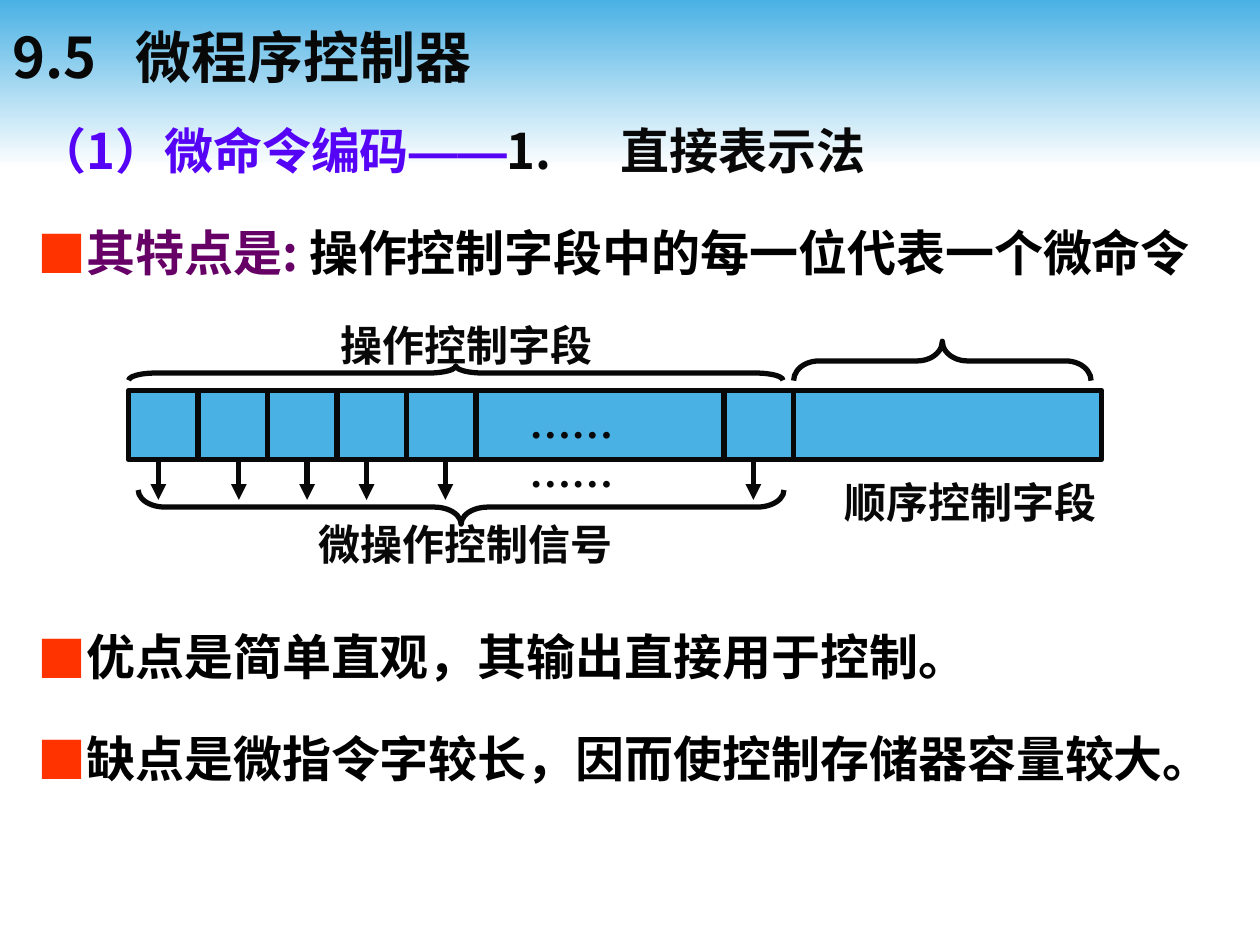
from dataclasses import dataclass

from lxml.etree import SubElement
from pptx import Presentation
from pptx.dml.color import RGBColor
from pptx.enum.shapes import MSO_CONNECTOR, MSO_SHAPE
from pptx.enum.text import MSO_ANCHOR
from pptx.oxml.ns import qn
from pptx.util import Pt


@dataclass(frozen=True)
class Theme:
    sky: str = "4AB1E4"
    white: str = "FFFFFF"
    ink: str = "080808"
    black: str = "000000"
    violet: str = "5504F6"
    plum: str = "660066"
    bullet: str = "FF3300"
    sans: str = "Noto Sans CJK JP"
    dash: str = "Arial"
    serif: str = "Times New Roman"
    title: int = 32
    body: int = 28
    label: int = 24
    stroke: int = 3


THEME = Theme()


def rgb(code):
    return RGBColor.from_string(code)


def set_face(font, properties, face):
    """Use one face for both Latin and East Asian characters."""
    font.name = face
    SubElement(properties, qn("a:ea")).set("typeface", face)


def style_paragraph(paragraph, size, color, face=THEME.sans):
    font = paragraph.font
    font.size, font.bold = Pt(size), True
    font.color.rgb = rgb(color)
    set_face(font, paragraph._p.pPr.find(qn("a:defRPr")), face)


def add_tab(paragraph, position):
    tabs = SubElement(paragraph._p.get_or_add_pPr(), qn("a:tabLst"))
    SubElement(tabs, qn("a:tab"), pos=str(Pt(position)), algn="l")


def add_bullet(paragraph, indent):
    properties = paragraph._p.get_or_add_pPr()
    properties.set("marL", str(Pt(indent)))
    properties.set("indent", str(-Pt(indent)))
    color = SubElement(properties, qn("a:buClr"))
    SubElement(color, qn("a:srgbClr"), val=THEME.bullet)
    SubElement(properties, qn("a:buFont"), typeface=THEME.sans)
    SubElement(properties, qn("a:buChar"), char="■")


def add_frame(slide, x, y, w, h):
    frame = slide.shapes.add_textbox(Pt(x), Pt(y), Pt(w), Pt(h)).text_frame
    frame.word_wrap = True
    return frame


def add_label(slide, text, x, y, w, face=THEME.sans):
    paragraph = add_frame(slide, x, y, w, 36).paragraphs[0]
    paragraph.add_run().text = text
    style_paragraph(paragraph, THEME.label, THEME.ink, face)


def add_line(slide, x, top, bottom, arrow=False):
    line = slide.shapes.add_connector(
        MSO_CONNECTOR.STRAIGHT, Pt(x), Pt(top), Pt(x), Pt(bottom))
    line.line.color.rgb = rgb(THEME.ink)
    line.line.width = Pt(THEME.stroke)
    if arrow:
        SubElement(line.line._get_or_add_ln(), qn("a:tailEnd"), type="triangle")
    SubElement(line._element.spPr, qn("a:effectLst"))


def add_brace(slide, preset, x, y, w, h, curve):
    """Lay a brace on its side so that it fills the box x, y, w, h."""
    brace = slide.shapes.add_shape(
        preset, Pt(x + (w - h) / 2), Pt(y + (h - w) / 2), Pt(h), Pt(w))
    brace.rotation = 270
    brace.adjustments[0] = curve / h
    brace.shadow.inherit = False
    brace.fill.background()
    brace.line.color.rgb = rgb(THEME.ink)
    brace.line.width = Pt(THEME.stroke)


def build_header(slide, x, y, w, h):
    # Gradient band
    band = slide.shapes.add_shape(MSO_SHAPE.RECTANGLE, Pt(x), Pt(y), Pt(w), Pt(h))
    band.shadow.inherit = False
    band.line.fill.background()
    band.fill.gradient()
    band.fill.gradient_angle = 270
    for stop, color, position in zip(
            band.fill.gradient_stops, (THEME.sky, THEME.white), (0, 1)):
        stop.color.rgb = rgb(color)
        stop.position = position

    # Title
    frame = add_frame(slide, x, y + 3.6, w, 57)
    frame.vertical_anchor = MSO_ANCHOR.MIDDLE
    title = frame.paragraphs[0]
    title.add_run().text = "9.5\t微程序控制器"
    add_tab(title, 70.5)
    style_paragraph(title, THEME.title, THEME.ink)


def build_body(slide, x, y, w, h):
    frame = add_frame(slide, x, y, w, h)

    # Heading
    heading = frame.paragraphs[0]
    add_tab(heading, 333)
    style_paragraph(heading, THEME.body, THEME.violet)
    heading.add_run().text = "（1）微命令编码"
    dash = heading.add_run()
    dash.text = "——"
    set_face(dash.font, dash._r.get_or_add_rPr(), THEME.dash)
    method = heading.add_run()
    method.text = "1.\t直接表示法"
    method.font.color.rgb = rgb(THEME.ink)

    # Bulleted points; the second leaves room for the diagram
    points = [
        (17.5, "其特点是: ", "操作控制字段中的每一位代表一个微命令"),
        (191, "", "优点是简单直观，其输出直接用于控制。"),
        (17.5, "", "缺点是微指令字较长，因而使控制存储器容量较大。"),
    ]
    for space, lead, text in points:
        point = frame.add_paragraph()
        point.line_spacing = 1.2
        point.space_before = Pt(space)
        add_bullet(point, 27)
        style_paragraph(point, THEME.body, THEME.black)
        if lead:
            lead_run = point.add_run()
            lead_run.text = lead
            lead_run.font.color.rgb = rgb(THEME.plum)
        point.add_run().text = text


def build_instruction_word(slide, x, y, w, h):
    bit = w / 14
    field = 380
    bottom = y + h

    # Instruction word and its dividers
    word = slide.shapes.add_shape(MSO_SHAPE.RECTANGLE, Pt(x), Pt(y), Pt(w), Pt(h))
    word.shadow.inherit = False
    word.fill.solid()
    word.fill.fore_color.rgb = rgb(THEME.sky)
    word.line.color.rgb = rgb(THEME.ink)
    word.line.width = Pt(THEME.stroke)
    for divider in [bit * n for n in range(1, 6)] + [field - bit, field]:
        add_line(slide, x + divider, y, bottom)

    # Control signals leaving the bits
    for signal in (17, 63, 102, 136, 181, 357):
        add_line(slide, x + signal, bottom, bottom + 23, arrow=True)

    # Braces
    add_brace(slide, MSO_SHAPE.RIGHT_BRACE, x + field, y - 28, 170, 22.5, 14.5)
    add_brace(slide, MSO_SHAPE.RIGHT_BRACE, x, y - 14, 374, 8.3, 15.6)
    add_brace(slide, MSO_SHAPE.LEFT_BRACE, x + 5.5, y + 57, 369, 19.5, 15.4)

    # Labels
    add_label(slide, "顺序控制字段", x + 402, y + 46, 174)
    add_label(slide, "操作控制字段", x + 114, y - 44, 193)
    add_label(slide, "微操作控制信号", x + 101.5, y + 70, 227)
    for dots_top in (y, y + 28):
        add_label(slide, "……", x + 222, dots_top, 91, THEME.serif)


def main():
    deck = Presentation()
    deck.slide_width, deck.slide_height = Pt(720), Pt(540)
    slide = deck.slides.add_slide(deck.slide_layouts[6])
    build_header(slide, 0, 0, 720, 96)
    build_body(slide, 14.4, 65.5, 692, 474.5)
    build_instruction_word(slide, 73.5, 223, 556, 39.7)
    deck.save("out.pptx")


if __name__ == "__main__":
    main()
